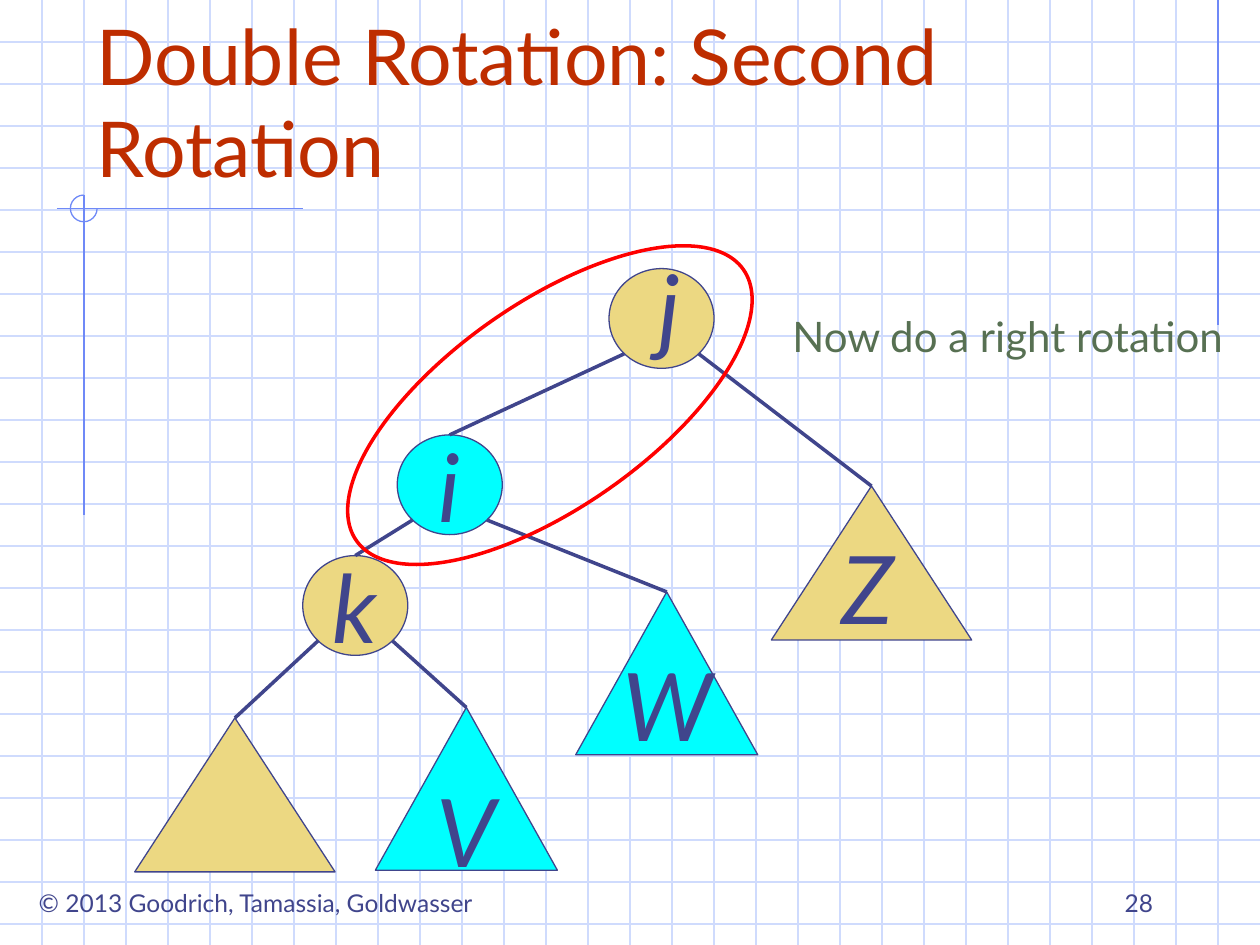
import math
from pptx import Presentation
from pptx.dml.color import RGBColor
from pptx.enum.shapes import MSO_CONNECTOR, MSO_SHAPE
from pptx.enum.text import MSO_ANCHOR, PP_ALIGN
from pptx.oxml.ns import qn
from pptx.util import Pt
from lxml import etree

STRAIGHT = MSO_CONNECTOR.STRAIGHT
ELLIPSE, TRIANGLE, ARC = MSO_SHAPE.OVAL, MSO_SHAPE.ISOSCELES_TRIANGLE, MSO_SHAPE.ARC
LEFT, CENTER, RIGHT = PP_ALIGN.LEFT, PP_ALIGN.CENTER, PP_ALIGN.RIGHT
TOP, MIDDLE, BOTTOM = MSO_ANCHOR.TOP, MSO_ANCHOR.MIDDLE, MSO_ANCHOR.BOTTOM

FONT = "Lato"
WIDTH, HEIGHT, GRID = 720, 540, 24
COLORS = {
    "grid": "CFDBFD", "rule": "6F89F7", "ink": "40458C", "title": "BE2D00",
    "note": "577052", "sand": "ECD882", "cyan": "00FFFF", "highlight": "FF0000",
}
RULES = [(696, 0, 696, 186), (32.5, 119.25, 173, 119.25), (48, 111.5, 48, 294.5)]
RULE_ARC = (40.25, 111.5, 15.25, 15.25)
CAPTIONS = [
    ("© 2013 Goodrich, Tamassia, Goldwasser", (6.5, 504, 279.5, 24.5),
     dict(size=14, wrap=False)),
    ("Double Rotation: Second Rotation", (48, 24, 612, 90),
     dict(size=44, color="title", align=LEFT, anchor=BOTTOM)),
    ("28", (516, 492, 150, 36), dict(size=14, align=RIGHT, anchor=BOTTOM)),
    ("Now do a right rotation", (436.5, 174, 278.5, 36),
     dict(size=24, color="note", wrap=False)),
]
NODE_SIZE, WIDE, NARROW = (60, 57), (114.5, 88), (104, 93)
TREE = {
    "j": (ELLIPSE, (348, 153.5), NODE_SIZE, "sand"),
    "i": (ELLIPSE, (227, 248.5), NODE_SIZE, "cyan"),
    "k": (ELLIPSE, (173, 317.5), NODE_SIZE, "sand"),
    "leaf": (TRIANGLE, (77, 410.25), WIDE, "sand"),
    "V": (TRIANGLE, (214.5, 404.25), NARROW, "cyan"),
    "W": (TRIANGLE, (329, 338.25), NARROW, "cyan"),
    "Z": (TRIANGLE, (440.75, 277.75), WIDE, "sand"),
}
CHILDREN = {"j": ("i", "Z"), "i": ("k", "W"), "k": ("leaf", "V")}
INNER_LABELS = ("i", "k", "V")
LABEL_CORNERS = {"j": (364.5, 138.5), "Z": (474, 299.5), "W": (348.5, 366)}
LABEL_SIZE = (36.5, 72)
HIGHLIGHT = (179.25, 173, 270, 117)


def rgb(name):
    return RGBColor.from_string(COLORS[name])


def write_text(shape, text, size=54, color="ink", italic=False,
               align=CENTER, anchor=TOP, wrap=True):
    frame = shape.text_frame
    frame.word_wrap = wrap
    frame.vertical_anchor = anchor
    paragraph = frame.paragraphs[0]
    paragraph.alignment = align
    run = paragraph.add_run()
    run.text = text
    run.font.name = FONT
    run.font.size = Pt(size)
    run.font.italic = italic
    run.font.color.rgb = rgb(color)


def add_text(slide, text, box, **style):
    write_text(slide.shapes.add_textbox(*map(Pt, box)), text, **style)


def add_line(slide, ends, color, width=0.75):
    line = slide.shapes.add_connector(STRAIGHT, *map(Pt, ends))
    line.line.color.rgb = rgb(color)
    line.line.width = Pt(width)
    properties = line._element.find(qn("p:spPr"))
    etree.SubElement(properties, qn("a:effectLst"))
    return line


def add_outline(slide, kind, box, color, width=0.75, fill=None):
    shape = slide.shapes.add_shape(kind, *map(Pt, box))
    shape.shadow.inherit = False
    if fill:
        shape.fill.solid()
        shape.fill.fore_color.rgb = rgb(fill)
    else:
        shape.fill.background()
    shape.line.color.rgb = rgb(color)
    shape.line.width = Pt(width)
    return shape


def add_background(slide):
    for y in range(GRID, HEIGHT, GRID):
        add_line(slide, (0, y, WIDTH, y), "grid")
    for x in range(GRID, WIDTH, GRID):
        add_line(slide, (x, 0, x, HEIGHT), "grid")
    for ends in RULES:
        add_line(slide, ends, "rule")
    arc = add_outline(slide, ARC, RULE_ARC, "rule")
    arc.adjustments[0] = 0
    arc.adjustments[1] = 270 * 60000 / 100000


def add_tree(slide):
    shapes = {}
    for name, (kind, corner, size, fill) in TREE.items():
        shapes[name] = add_outline(slide, kind, corner + size, "ink", fill=fill)
        if name in INNER_LABELS:
            write_text(shapes[name], name, italic=True, anchor=MIDDLE, wrap=False)
    reach = math.sqrt(0.5) / 2
    for parent, children in CHILDREN.items():
        _, (left, top), (width, height), _ = TREE[parent]
        for child, side in zip(children, (-1, 1)):
            x = left + width * (0.5 + side * reach)
            y = top + height * (0.5 + reach)
            _, (child_left, child_top), (child_width, _), _ = TREE[child]
            ends = (x, y, child_left + child_width / 2, child_top)
            add_line(slide, ends, "ink", 2).end_connect(shapes[child], 0)
    for name, corner in LABEL_CORNERS.items():
        add_text(slide, name, corner + LABEL_SIZE, italic=True)


def main():
    presentation = Presentation()
    presentation.slide_width, presentation.slide_height = Pt(WIDTH), Pt(HEIGHT)
    slide = presentation.slides.add_slide(presentation.slide_layouts[6])
    add_background(slide)
    for text, box, style in CAPTIONS:
        add_text(slide, text, box, **style)
    add_tree(slide)
    add_outline(slide, ELLIPSE, HIGHLIGHT, "highlight", 2).rotation = 325
    presentation.save("out.pptx")


if __name__ == "__main__":
    main()
